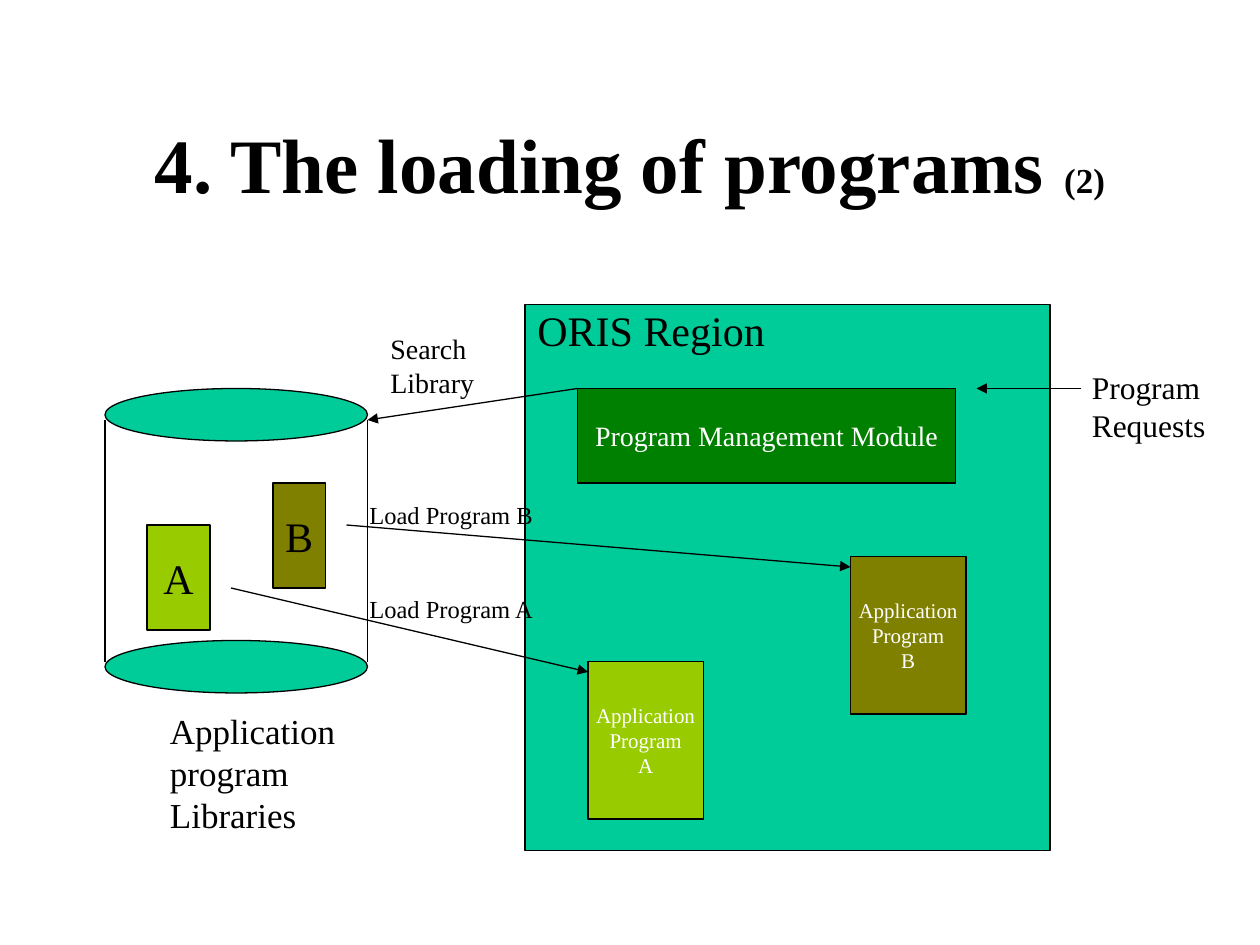
"""Build the slide on how programs are loaded from libraries into a region."""
from dataclasses import dataclass

from lxml.etree import SubElement
from pptx import Presentation
from pptx.dml.color import RGBColor
from pptx.enum.shapes import MSO_CONNECTOR, MSO_SHAPE
from pptx.enum.text import MSO_ANCHOR, PP_ALIGN
from pptx.oxml.ns import qn
from pptx.util import Inches, Pt


@dataclass(frozen=True)
class Theme:
    font: str = "Times New Roman"
    black: str = "000000"
    white: str = "FFFFFF"
    teal: str = "00CC99"
    green: str = "008000"
    lime: str = "99CC00"
    olive: str = "808000"
    line_width: float = 0.75
    title: int = 44
    large: int = 24
    caption: int = 20
    request: int = 18
    medium: int = 16
    label: int = 14
    small: int = 12


THEME = Theme()
WIDTH, HEIGHT = 10, 7.5
COLUMNS, ROWS = 120, 90

TITLE = [("4. The loading of programs ", THEME.title), ("(2)", THEME.caption)]
TITLE_PLACE = (9, 8, 102, 15)

CYLINDER = {"left": 10, "width": 25, "cap_tops": (37, 61), "cap_height": 5, "side": (40, 63)}

BOXES = [
    (["A"], (14, 50, 6, 10), THEME.lime, {"size": THEME.large}),
    (["B"], (26, 46, 5, 10), THEME.olive, {"size": THEME.large}),
    (["ORIS Region"], (50, 29, 50, 52), THEME.teal,
     {"size": THEME.large, "align": PP_ALIGN.LEFT, "anchor": MSO_ANCHOR.TOP,
      "wrap": True, "margin_top": 0}),
    (["Program Management Module"], (55, 37, 36, 9), THEME.green,
     {"size": THEME.medium, "color": THEME.white}),
    (["Application", "Program", "A"], (56, 63, 11, 15), THEME.lime,
     {"size": THEME.small, "color": THEME.white}),
    (["Application", "Program", "B"], (81, 53, 11, 15), THEME.olive,
     {"size": THEME.small, "color": THEME.white}),
]

ARROWS = [
    ((33, 50), (81, 54)),
    ((22, 56), (56, 64)),
    ((55, 37), (35, 40)),
    ((103, 37), (93, 37)),
]

LABELS = [
    (["Application", "program", "Libraries"], (15, 67, 20, 13.2), {"size": THEME.caption}),
    (["Search Library"], (36, 31, 12, 7.7), {"size": THEME.medium}),
    (["Load Program B"], (34, 47, 19, 4.1), {"size": THEME.label}),
    (["Load Program A"], (34, 56, 19, 4.1), {"size": THEME.label}),
    (["Program", "Requests"], (102.8, 34.5, 15, 8.4), {"size": THEME.request}),
]


def across(columns):
    return Inches(columns * WIDTH / COLUMNS)


def down(rows):
    return Inches(rows * HEIGHT / ROWS)


def frame(place):
    left, top, width, height = place
    return across(left), down(top), across(width), down(height)


def write_text(shape, lines, size=THEME.large, color=THEME.black, align=PP_ALIGN.CENTER,
               anchor=MSO_ANCHOR.MIDDLE, wrap=False, bold=False, margin_top=0.05):
    text_frame = shape.text_frame
    text_frame.word_wrap = wrap
    text_frame.vertical_anchor = anchor
    text_frame.margin_top = Inches(margin_top)
    for index, line in enumerate(lines):
        paragraph = text_frame.paragraphs[0] if index == 0 else text_frame.add_paragraph()
        paragraph.alignment = align
        pieces = [(line, size)] if isinstance(line, str) else line
        for text, text_size in pieces:
            run = paragraph.add_run()
            run.text = text
            run.font.name = THEME.font
            run.font.size = Pt(text_size)
            run.font.bold = bold
            run.font.color.rgb = RGBColor.from_string(color)


def style_line(line):
    line.color.rgb = RGBColor.from_string(THEME.black)
    line.width = Pt(THEME.line_width)


def add_filled(slide, kind, place, fill):
    shape = slide.shapes.add_shape(kind, *frame(place))
    shape.shadow.inherit = False
    shape.fill.solid()
    shape.fill.fore_color.rgb = RGBColor.from_string(fill)
    style_line(shape.line)
    return shape


def add_line(slide, start, end, arrow=False):
    connector = slide.shapes.add_connector(
        MSO_CONNECTOR.STRAIGHT, across(start[0]), down(start[1]), across(end[0]), down(end[1]))
    style_line(connector.line)
    if arrow:
        SubElement(connector.line._get_or_add_ln(), qn("a:tailEnd"), type="triangle")
    SubElement(connector._element.spPr, qn("a:effectLst"))


def add_cylinder(slide):
    left, width = CYLINDER["left"], CYLINDER["width"]
    for top in CYLINDER["cap_tops"]:
        add_filled(slide, MSO_SHAPE.OVAL, (left, top, width, CYLINDER["cap_height"]), THEME.teal)
    side_top, side_bottom = CYLINDER["side"]
    for column in (left, left + width):
        add_line(slide, (column, side_top), (column, side_bottom))


def main():
    presentation = Presentation()
    presentation.slide_width, presentation.slide_height = Inches(WIDTH), Inches(HEIGHT)
    slide = presentation.slides.add_slide(presentation.slide_layouts[6])
    title = slide.shapes.add_textbox(*frame(TITLE_PLACE))
    write_text(title, [TITLE], wrap=True, bold=True)
    add_cylinder(slide)
    for lines, place, fill, style in BOXES:
        write_text(add_filled(slide, MSO_SHAPE.RECTANGLE, place, fill), lines, **style)
    for start, end in ARROWS:
        add_line(slide, start, end, arrow=True)
    for lines, place, style in LABELS:
        label = slide.shapes.add_textbox(*frame(place))
        write_text(label, lines, align=PP_ALIGN.LEFT, anchor=MSO_ANCHOR.TOP, wrap=True, **style)
    presentation.save("out.pptx")


if __name__ == "__main__":
    main()
